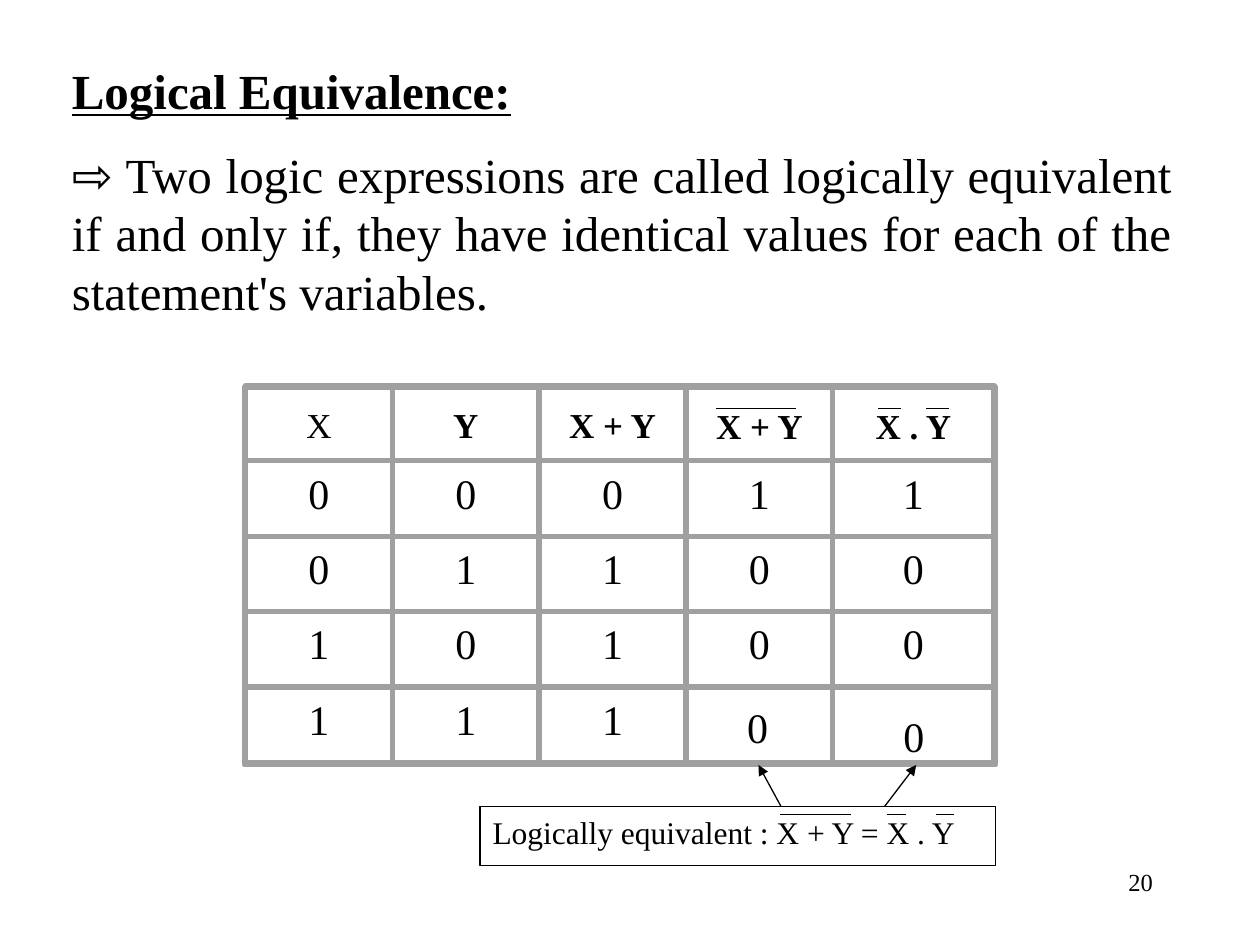
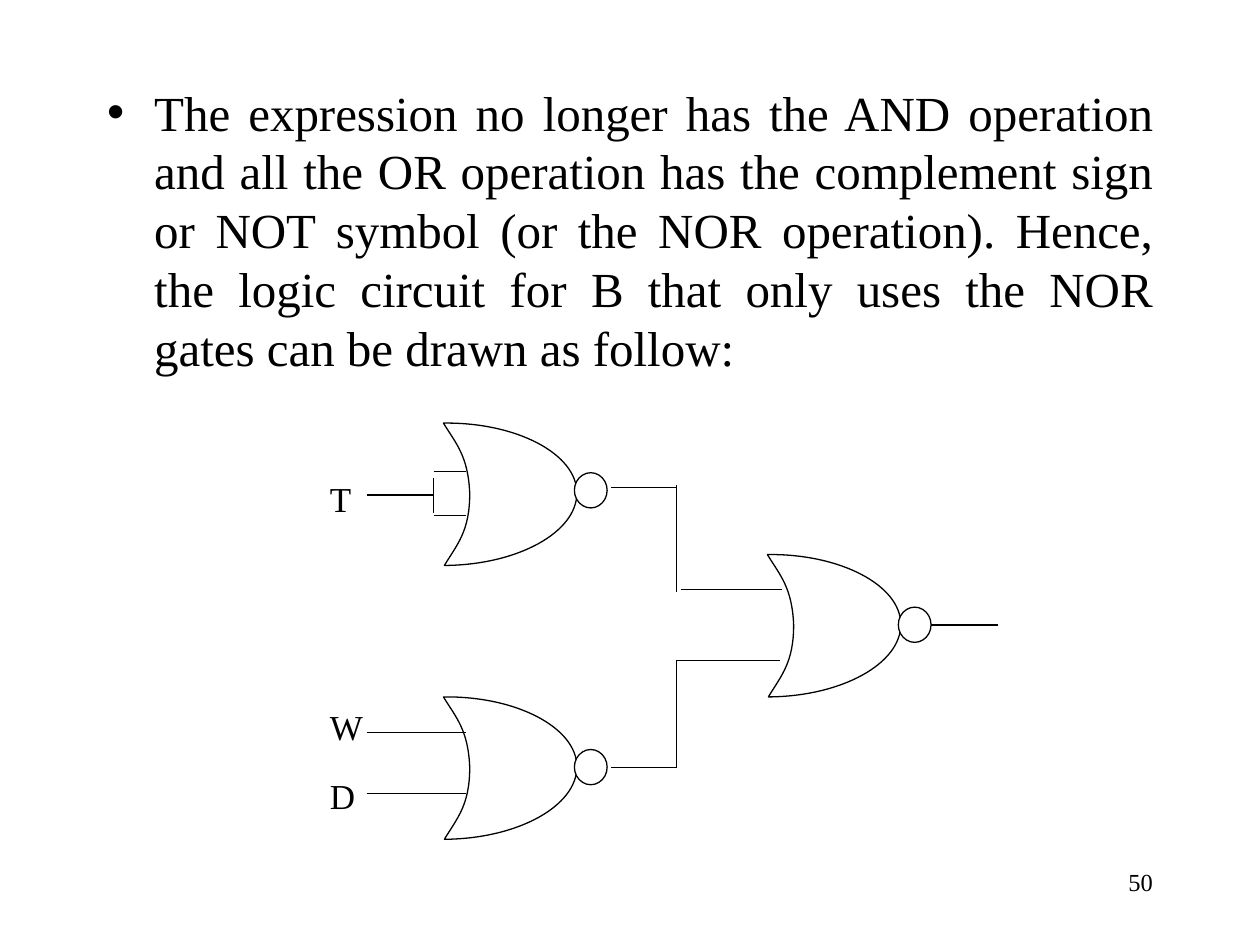
"""Build two slides on logic: an equivalence grid and a NOR gate circuit."""
from dataclasses import dataclass
from itertools import accumulate

from lxml import etree
from pptx import Presentation
from pptx import util as u
from pptx.dml.color import RGBColor
from pptx.enum import shapes, text
from pptx.oxml.ns import qn

FONT, SANS = "Times New Roman", "Arial"
INK, PAPER, GRID = "000000", "FFFFFF", "A0A0A0"
THIN, THICK = 0.74, 3
BODY = 28
FORM = shapes.MSO_SHAPE
LEFT, MID, RIGHT, FULL = (text.PP_ALIGN.LEFT, text.PP_ALIGN.CENTER,
                          text.PP_ALIGN.RIGHT, text.PP_ALIGN.JUSTIFY)


@dataclass
class Box:
    """A place on the slide, in centimetres."""
    x: float
    y: float
    w: float
    h: float

    def emu(self) -> list:
        """Return left, top, width and height as lengths."""
        return [u.Cm(v) for v in (self.x, self.y, self.w, self.h)]


@dataclass
class Wire:
    """A straight line between two points, in centimetres."""
    x1: float
    y1: float
    x2: float
    y2: float
    arrow: bool = False


@dataclass
class Gate:
    """The upper left tip of a gate and the top of its bubble."""
    x: float
    y: float
    top: float


def color(code: str) -> RGBColor:
    """Turn a hex string into a colour."""
    return RGBColor.from_string(code)


def style(par, size: float, align=LEFT, bold: bool = False) -> None:
    """Format a paragraph and all its runs."""
    par.alignment = align
    for run in par.runs:
        run.font.name, run.font.size, run.font.bold = FONT, u.Pt(size), bold
        run.font.color.rgb = color(INK)


def write(slide, box: Box, words: str, size: float, align=LEFT,
          bold: bool = False, wrap: bool = True):
    """Add a text box and return its frame."""
    frame = slide.shapes.add_textbox(*box.emu()).text_frame
    frame.word_wrap = wrap
    frame.text = words
    style(frame.paragraphs[0], size, align, bold)
    return frame


def paint(shape, fill: str = PAPER, line: str = INK, width: float = THIN) -> None:
    """Set fill and line of a shape; an empty colour means none."""
    shape.shadow.inherit = False
    for part, code in ((shape.fill, fill), (shape.line.fill, line)):
        if code:
            part.solid()
            part.fore_color.rgb = color(code)
        else:
            part.background()
    if line:
        shape.line.width = u.Pt(width)


def place(slide, box: Box, kind=FORM.RECTANGLE):
    """Add a preset shape."""
    return slide.shapes.add_shape(kind, *box.emu())


def label(shape, words: str, size: float) -> None:
    """Set text at the upper left of a shape."""
    shape.text_frame.text = words
    shape.text_frame.vertical_anchor = text.MSO_ANCHOR.TOP
    style(shape.text_frame.paragraphs[0], size)


def draw(slide, wire: Wire) -> None:
    """Draw a thin line, with an arrowhead at its end if asked."""
    ends = [u.Cm(v) for v in (wire.x1, wire.y1, wire.x2, wire.y2)]
    line = slide.shapes.add_connector(shapes.MSO_CONNECTOR.STRAIGHT, *ends)
    line.line.color.rgb = color(INK)
    line.line.width = u.Pt(THIN)
    prop = line._element.spPr
    if wire.arrow:
        etree.SubElement(prop.find(qn("a:ln")), qn("a:tailEnd"), type="triangle")
    etree.SubElement(prop, qn("a:effectLst"))


def page(deck, number: int):
    """Add a blank slide with its number."""
    slide = deck.slides.add_slide(deck.slide_layouts[6])
    write(slide, Box(18.21, 17.35, 5.28, 1.27), str(number), 14, RIGHT)
    return slide


HEAD = ["X", "Y", "X + Y", "X + Y", "X . Y"]
TRUTH = ["00011", "01100", "10100", "11100"]
WIDTHS = [2.96] * 4 + [3.25]
X0, Y0, ROW, PAD = 4.95, 7.77, 1.52, 0.19
LOOSE = {(4, 3): Box(14.81, 14.02, 0.91, 1.27),  # figures set off the grid
         (4, 4): Box(17.96, 14.2, 0.91, 1.27)}


def table(slide) -> None:
    """Draw the truth table as framed cells."""
    lefts = list(accumulate(WIDTHS, initial=X0))
    for r, row in enumerate([HEAD, *TRUTH]):
        y = Y0 + r * ROW
        for c, word in enumerate(row):
            x, width = lefts[c], WIDTHS[c]
            if (r, c) not in LOOSE:
                top = y if r else y + (0.26 if c > 2 else 0.23)
                write(slide, Box(x + PAD, top, width - 2 * PAD, ROW), word,
                      24 if r else 20, MID, bold=r == 0 and c > 0)
            paint(place(slide, Box(x, y, width, ROW)), "", GRID, THICK)
    paint(place(slide, Box(4.93, 7.8, 15.14, 7.62)), "", GRID, THICK)
    for (r, c), box in LOOSE.items():
        write(slide, box, TRUTH[r - 1][c], 24, wrap=False)


def bars(slide, y: float, spans: list) -> None:
    """Draw negation bars at one height."""
    for start, end in spans:
        draw(slide, Wire(start, y, end, y))


def equal(deck) -> None:
    """Build the slide on logical equivalence."""
    slide = page(deck, 20)
    frame = write(slide, Box(1.2, 1.1, 22.68, 5.51), "Logical Equivalence:",
                  BODY, bold=True)
    frame.paragraphs[0].runs[0].font.underline = True
    par = frame.add_paragraph()
    par.text = "\u21e8"
    par.add_run().text = (
        " Two logic expressions are called logically equivalent if and only if, "
        "they have identical values for each of the statement's variables.")
    par.space_before = u.Pt(14)
    style(par, BODY, FULL)
    par.runs[0].font.name = SANS

    table(slide)
    draw(slide, Wire(15.8, 16.36, 15.29, 15.42, True))
    draw(slide, Wire(17.7, 16.43, 18.47, 15.42, True))
    note = place(slide, Box(9.68, 16.26, 10.39, 1.19))
    paint(note)
    label(note, "Logically equivalent : X + Y = X . Y", 18)
    bars(slide, 8.24, [(14.43, 16.05), (17.7, 18.16), (18.67, 19.13)])
    bars(slide, 16.42, [(15.72, 17.15), (17.88, 18.26), (18.87, 19.23)])


# Bezier curves of a gate, from its lower tip: two handles and an end each,
# measured from the upper left tip.
START = (0.02, 2.87)
CURVES = [
    [(0.28, 2.44), (0.53, 2.18), (0.53, 1.42)],
    [(0.5, 0.66), (0.25, 0.41), (0, 0)],
    [(1.47, -0.02), (2.69, 0.62), (2.69, 1.41)],
    [(2.69, 2.2), (1.5, 2.86), START],
]
GATES = [Gate(8.94, 8.53, 9.53), Gate(15.47, 11.18, 12.24),
         Gate(8.94, 14.05, 15.11)]
INPUT, FORK, BACK, BUS = 7.39, 8.74, 9.4, 13.64  # where wires start and turn
WIRES = [
    Wire(12.32, 9.83, BUS, 9.83), Wire(BUS, 9.78, BUS, 11.94),
    Wire(13.72, 11.89, 15.77, 11.89),
    Wire(12.32, 15.47, BUS, 15.47), Wire(BUS, 15.47, BUS, 13.31),
    Wire(BUS, 13.31, 15.72, 13.31),
    Wire(18.77, 12.6, 20.12, 12.6),
    Wire(INPUT, 14.76, BACK, 14.76), Wire(INPUT, 16, BACK, 16),
    Wire(INPUT, 9.98, FORK, 9.98), Wire(FORK, 9.63, FORK, 10.34),
    Wire(FORK, 9.5, BACK, 9.5), Wire(FORK, 10.39, BACK, 10.39),
]


def nor(slide, gate: Gate) -> None:
    """Draw a NOR gate: a curved body and a bubble."""
    dots = [(u.Cm(gate.x + dx), u.Cm(gate.y + dy))
            for dx, dy in [START] + [curve[-1] for curve in CURVES]]
    pen = slide.shapes.build_freeform(*dots[0])
    pen.add_line_segments(dots[1:], close=True)
    body = pen.convert_to_shape()
    sides = list(body._element.iter(qn("a:lnTo")))
    for side, curve in zip(sides, CURVES):
        arc = etree.Element(qn("a:cubicBezTo"))
        for dx, dy in curve:
            etree.SubElement(arc, qn("a:pt"), x=str(u.Cm(dx)), y=str(u.Cm(dy)))
        side.getparent().replace(side, arc)
    paint(body)
    paint(place(slide, Box(gate.x + 2.64, gate.top, 0.66, 0.71),
                FORM.FLOWCHART_CONNECTOR))


def bullet(par, indent: float) -> None:
    """Give a paragraph a round bullet and a hanging indent."""
    prop = par._p.get_or_add_pPr()
    prop.set("marL", str(u.Cm(indent)))
    prop.set("indent", str(-u.Cm(indent)))
    tint = etree.SubElement(prop, qn("a:buClr"))
    etree.SubElement(tint, qn("a:srgbClr"), val=INK)
    etree.SubElement(prop, qn("a:buFont"), typeface=SANS)
    etree.SubElement(prop, qn("a:buChar"), char="\u2022")


def circuit(deck) -> None:
    """Build the slide with the NOR circuit."""
    slide = page(deck, 50)
    frame = write(
        slide, Box(1.91, 1.53, 21.59, 6.91),
        "The expression no longer has the AND operation and all the OR operation "
        "has the complement sign or NOT symbol (or the NOR operation). Hence, the "
        "logic circuit for B that only uses the NOR gates can be drawn as follow:",
        BODY, FULL)
    par = frame.paragraphs[0]
    par.space_before = u.Pt(7)
    bullet(par, 0.95)
    for gate in GATES:
        nor(slide, gate)
    plate = place(slide, Box(6.4, 9.5, 2.01, 1.45))
    paint(plate, line="")
    label(plate, "T", 20)
    for name, y in (("W", 14.1), ("D", 15.49)):
        write(slide, Box(6.4, y, 2.01, 1.45), name, 20)
    for wire in WIRES:
        draw(slide, wire)


def main() -> None:
    """Build and save the deck."""
    deck = Presentation()
    deck.slide_width, deck.slide_height = u.Cm(25.4), u.Cm(19.05)
    equal(deck)
    circuit(deck)
    deck.save("out.pptx")


main()
